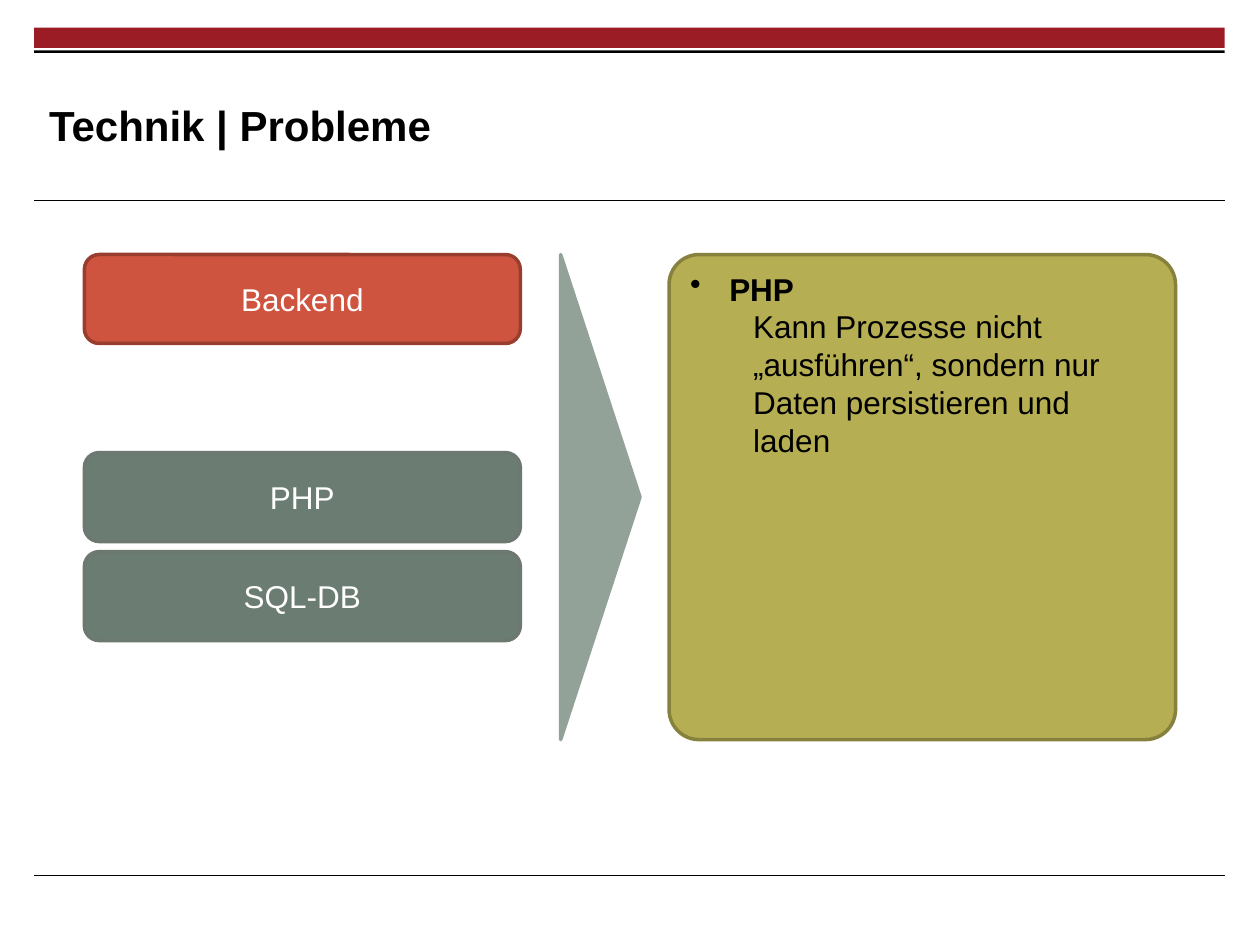
from dataclasses import dataclass

from lxml import etree
from pptx import Presentation
from pptx.dml.color import RGBColor
from pptx.enum.shapes import MSO_CONNECTOR, MSO_SHAPE
from pptx.enum.text import MSO_ANCHOR, PP_ALIGN
from pptx.oxml.ns import qn
from pptx.util import Inches, Pt

RECTANGLE, ROUNDED = MSO_SHAPE.RECTANGLE, MSO_SHAPE.ROUNDED_RECTANGLE
PENTAGON, STRAIGHT = MSO_SHAPE.PENTAGON, MSO_CONNECTOR.STRAIGHT
TOP, MIDDLE = MSO_ANCHOR.TOP, MSO_ANCHOR.MIDDLE
LEFT, CENTER = PP_ALIGN.LEFT, PP_ALIGN.CENTER


@dataclass(frozen=True)
class Theme:
    font: str = "Arial"
    title_size: int = 24
    body_size: int = 18
    outline: float = 2
    hairline: float = 0.6
    ink: str = "000000"
    light: str = "FFFFFF"
    banner: str = "9C1C26"
    arrow: str = "93A299"
    panel: tuple = ("B5AE53", "86813D")
    affected: tuple = ("CF543F", "993E2F")
    neutral: tuple = ("6B7D72", "6D7871")


THEME = Theme()


def color(code):
    return RGBColor.from_string(code)


def add_block(slide, preset, box, fill, outline=None):
    block = slide.shapes.add_shape(preset, *map(Inches, box))
    block.shadow.inherit = False
    block.fill.solid()
    block.fill.fore_color.rgb = color(fill)
    if outline:
        block.line.color.rgb = color(outline)
        block.line.width = Pt(THEME.outline)
    else:
        block.line.fill.background()
    return block


def add_rule(slide, left, top, width):
    rule = slide.shapes.add_connector(
        STRAIGHT, Inches(left), Inches(top), Inches(left + width), Inches(top))
    rule.line.color.rgb = color(THEME.ink)
    rule.line.width = Pt(THEME.hairline)
    etree.SubElement(rule._element.spPr, qn("a:effectLst"))


def write(paragraph, text, size, ink, bold=False, align=LEFT):
    paragraph.text = text
    paragraph.alignment = align
    font = paragraph.font
    font.name, font.size, font.bold = THEME.font, Pt(size), bold
    font.color.rgb = color(ink)


def indent(paragraph, margin, first_line, bullet=None):
    properties = paragraph._p.get_or_add_pPr()
    properties.set("marL", str(Inches(margin)))
    properties.set("indent", str(Inches(first_line)))
    if bullet:
        mark = etree.Element(qn("a:buChar"), char=bullet)
        properties.insert_element_before(mark, "a:tabLst", "a:defRPr", "a:extLst")


def build_frame(slide, left, top, width, height):
    add_block(slide, RECTANGLE, (left, top, width, 0.16), THEME.banner)
    add_block(slide, RECTANGLE, (left, top + 0.18, width, 0.02), THEME.ink)
    add_rule(slide, left, top + 1.37, width)
    add_rule(slide, left, top + height, width)


def build_title(slide, box, text):
    title = slide.shapes.add_textbox(*map(Inches, box)).text_frame
    title.word_wrap = True
    title.vertical_anchor = MIDDLE
    title.margin_left = title.margin_right = 0
    title.margin_top = title.margin_bottom = 0
    write(title.paragraphs[0], text, THEME.title_size, THEME.ink, bold=True)


def build_layers(slide, left, top, width, height, layers):
    gap = 0.08
    pitch = (height + gap) / 5
    for row, name, (fill, outline) in layers:
        box = (left, top + row * pitch, width, pitch - gap)
        layer = add_block(slide, ROUNDED, box, fill, outline).text_frame
        layer.word_wrap = True
        layer.vertical_anchor = MIDDLE
        write(layer.paragraphs[0], name, THEME.body_size, THEME.light, align=CENTER)


def build_arrow(slide, box):
    arrow = add_block(slide, PENTAGON, box, THEME.arrow, THEME.arrow)
    arrow.adjustments[0] = 1


def build_problem_panel(slide, box, topic, problem):
    panel = add_block(slide, ROUNDED, box, *THEME.panel)
    panel.adjustments[0] = 0.062
    frame = panel.text_frame
    frame.word_wrap = True
    frame.vertical_anchor = TOP
    heading, detail = frame.paragraphs[0], frame.add_paragraph()
    write(heading, topic, THEME.body_size, THEME.ink, bold=True)
    indent(heading, 0.31, -0.31, "•")
    write(detail, problem, THEME.body_size, THEME.ink)
    detail.level = 1
    indent(detail, 0.5, 0)


def main():
    deck = Presentation()
    deck.slide_width, deck.slide_height = Inches(10), Inches(7.5)
    slide = deck.slides.add_slide(deck.slide_layouts[6])
    content_top, content_height = 2.02, 3.85

    build_frame(slide, 0.27, 0.22, 9.45, 6.73)
    build_title(slide, (0.39, 0.53, 7.26, 0.92), "Technik | Probleme")
    build_arrow(slide, (4.45, content_top, 0.63, content_height))
    build_problem_panel(
        slide, (5.31, content_top, 4.02, content_height), "PHP",
        "Kann Prozesse nicht „ausführen“, sondern nur Daten persistieren und laden")
    build_layers(slide, 0.67, content_top, 3.46, content_height, [
        (0, "Backend", THEME.affected),
        (2, "PHP", THEME.neutral),
        (3, "SQL-DB", THEME.neutral),
    ])
    deck.save("out.pptx")


if __name__ == "__main__":
    main()
